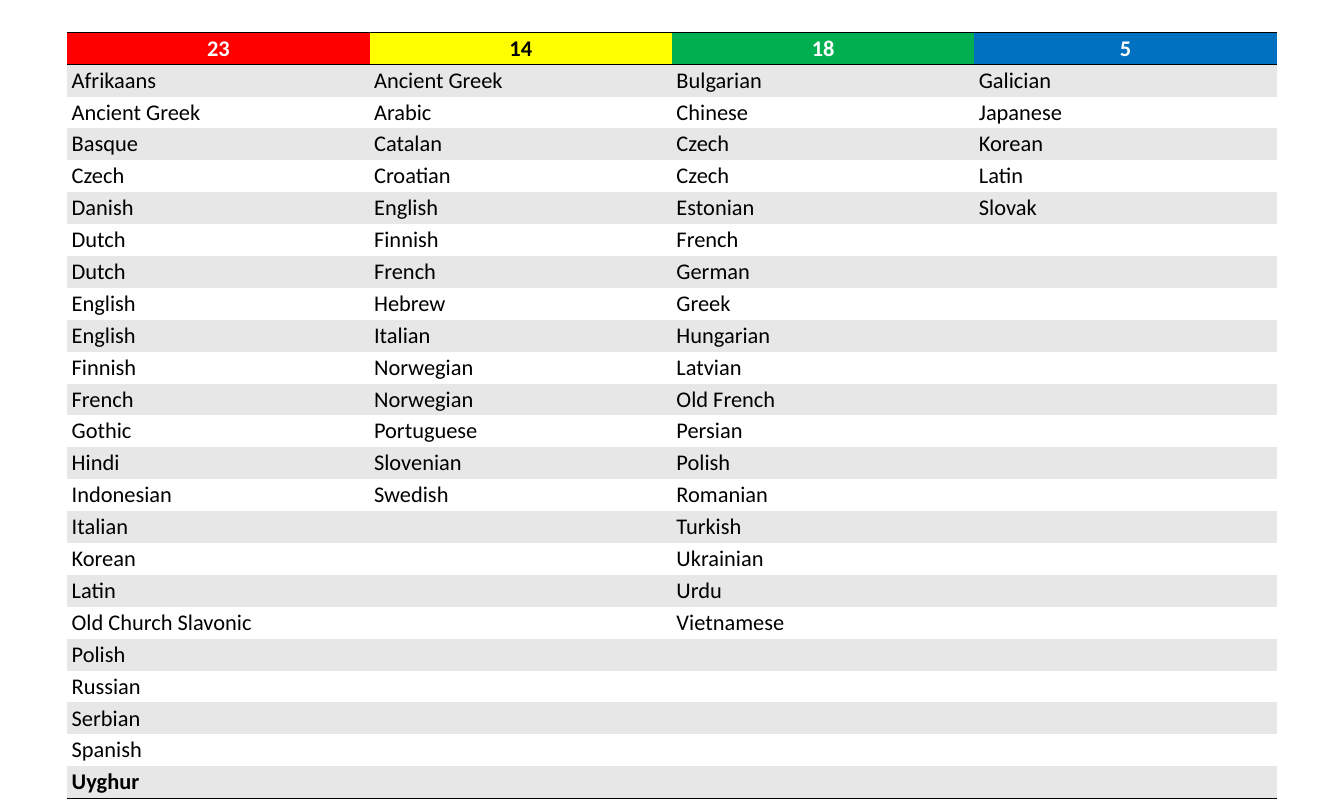
from itertools import zip_longest

from lxml.etree import SubElement
from pptx import Presentation
from pptx.dml.color import RGBColor
from pptx.enum.text import PP_ALIGN
from pptx.oxml import parse_xml
from pptx.oxml.ns import nsdecls, qn
from pptx.util import Inches, Pt

SLIDE_WIDTH, SLIDE_HEIGHT = 30, 18
NO_STYLE_NO_GRID = "{2D5ABB26-0587-4C30-8999-92F81FD0307C}"
BLACK, WHITE, GREY = "000000", "FFFFFF", "E7E7E7"

# Header fill, header text colour, languages
GROUPS = [
    ("FF0000", WHITE, [
        "Afrikaans", "Ancient Greek", "Basque", "Czech", "Danish", "Dutch",
        "Dutch", "English", "English", "Finnish", "French", "Gothic", "Hindi",
        "Indonesian", "Italian", "Korean", "Latin", "Old Church Slavonic",
        "Polish", "Russian", "Serbian", "Spanish", "Uyghur"]),
    ("FFFF00", BLACK, [
        "Ancient Greek", "Arabic", "Catalan", "Croatian", "English", "Finnish",
        "French", "Hebrew", "Italian", "Norwegian", "Norwegian", "Portuguese",
        "Slovenian", "Swedish"]),
    ("00B050", WHITE, [
        "Bulgarian", "Chinese", "Czech", "Czech", "Estonian", "French",
        "German", "Greek", "Hungarian", "Latvian", "Old French", "Persian",
        "Polish", "Romanian", "Turkish", "Ukrainian", "Urdu", "Vietnamese"]),
    ("0070C0", WHITE, ["Galician", "Japanese", "Korean", "Latin", "Slovak"]),
]
BOLD_LANGUAGES = {"Uyghur"}


def color(value):
    return RGBColor.from_string(value)


class LanguageSlide:
    font_name = "Calibri"
    font_size = Pt(36)
    rule_width = Pt(2)
    left, top = 0.05, 0.0406
    width, row_height = 0.9, 0.7 / SLIDE_HEIGHT

    def __init__(self, deck):
        self.deck = deck
        self.page = deck.slides.add_slide(deck.slide_layouts[6])

    def across(self, share):
        return round(self.deck.slide_width * share)

    def down(self, share):
        return round(self.deck.slide_height * share)

    def add_table(self, row_count, column_count):
        """Add a table without any built-in style or banding."""
        frame = self.page.shapes.add_table(
            row_count, column_count, self.across(self.left), self.down(self.top),
            self.across(self.width), self.down(self.row_height * row_count))
        table = frame.table
        table.first_row = table.horz_banding = False
        table._tbl.tblPr.find(qn("a:tableStyleId")).text = NO_STYLE_NO_GRID
        return table

    def fill_cell(self, cell, text, fill, text_color=BLACK, bold=False,
                  align=PP_ALIGN.LEFT):
        cell.fill.solid()
        cell.fill.fore_color.rgb = color(fill)
        if not text:
            return
        cell.text = text
        para = cell.text_frame.paragraphs[0]
        para.alignment = align
        para.font.name = self.font_name
        para.font.size = self.font_size
        para.font.bold = bold
        para.font.color.rgb = color(text_color)

    def rule_cell(self, cell, *edges):
        """Draw black lines on the given edges, named lnT or lnB in that order."""
        properties = cell._tc.get_or_add_tcPr()
        for position, edge in enumerate(edges):
            line = parse_xml(f'<a:{edge} {nsdecls("a")} w="{self.rule_width}"/>')
            SubElement(SubElement(line, qn("a:solidFill")),
                       qn("a:srgbClr"), val=BLACK)
            properties.insert(position, line)

    def add_language_table(self, groups):
        rows = list(zip_longest(*(names for _, _, names in groups), fillvalue=""))
        table = self.add_table(len(rows) + 1, len(groups))

        for column, (fill, text_color, names) in enumerate(groups):
            header = table.cell(0, column)
            self.fill_cell(header, str(len(names)), fill, text_color,
                           bold=True, align=PP_ALIGN.CENTER)
            self.rule_cell(header, "lnT", "lnB")

        for row, names in enumerate(rows, start=1):
            for column, name in enumerate(names):
                self.fill_cell(table.cell(row, column), name,
                               GREY if row % 2 else WHITE,
                               bold=name in BOLD_LANGUAGES)

        for column in range(len(groups)):
            self.rule_cell(table.cell(len(rows), column), "lnB")


def main():
    deck = Presentation()
    deck.slide_width = Inches(SLIDE_WIDTH)
    deck.slide_height = Inches(SLIDE_HEIGHT)
    LanguageSlide(deck).add_language_table(GROUPS)
    deck.save("out.pptx")


if __name__ == "__main__":
    main()
